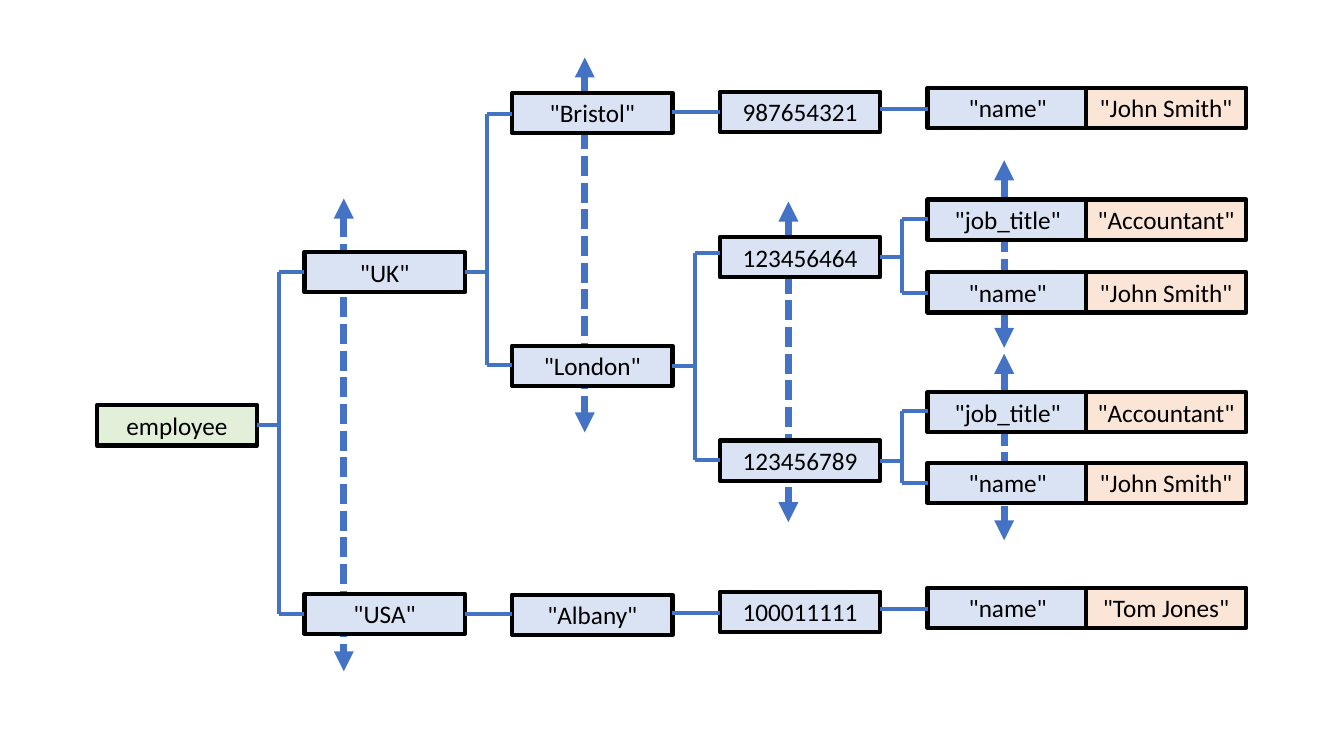
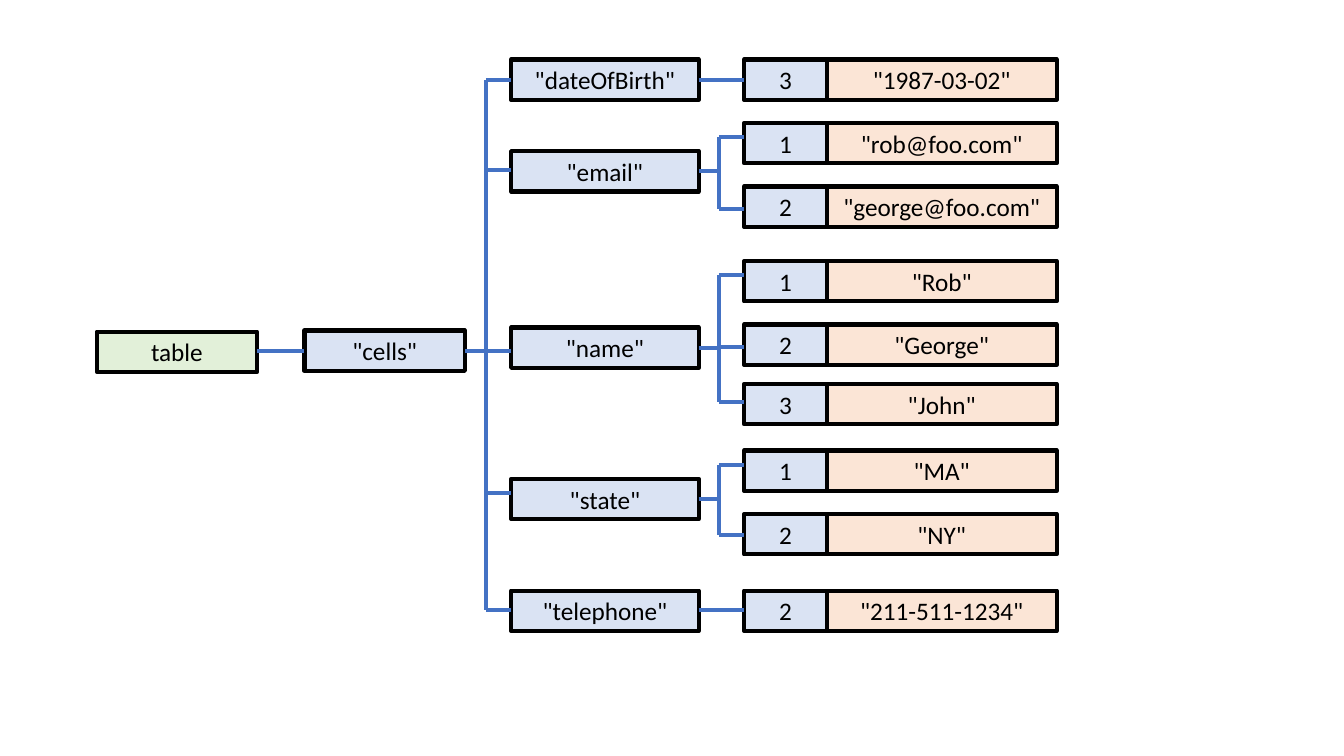
from pptx import Presentation
from pptx.dml.color import RGBColor
from pptx.enum.dml import MSO_LINE
from pptx.enum.shapes import MSO_CONNECTOR as CONNECTOR
from pptx.enum.text import MSO_ANCHOR, MSO_AUTO_SIZE, PP_ALIGN
from pptx.oxml.ns import qn
from pptx.util import Inches, Pt
from lxml.etree import SubElement

# Each node: label, top of its box, height of the line that reaches it,
# then either a list of child nodes or the value stored under the key.
EMPLOYEE = ("employee", 4.02, None, [
    ("\"UK\"", 2.5, 2.7, [
        ("\"Bristol\"", 0.92, 1.13, [
            ("987654321", 0.91, 1.11, [
                ("\"name\"", 0.87, 1.08, "\"John Smith\"")])]),
        ("\"London\"", 3.43, 3.62, [
            ("123456464", 2.35, 2.51, [
                ("\"job_title\"", 1.98, 2.17, "\"Accountant\""),
                ("\"name\"", 2.7, 2.91, "\"John Smith\"")]),
            ("123456789", 4.37, 4.56, [
                ("\"job_title\"", 3.89, 4.08, "\"Accountant\""),
                ("\"name\"", 4.59, 4.79, "\"John Smith\"")])])]),
    ("\"USA\"", 5.89, 6.09, [
        ("\"Albany\"", 5.9, 6.09, [
            ("100011111", 5.87, 6.08, [
                ("\"name\"", 5.83, 6.04, "\"Tom Jones\"")])])])])

TABLE = ("table", 3.29, None, [
    ("\"cells\"", 3.28, 3.48, [
        ("\"dateOfBirth\"", 0.59, 0.79, [
            ("3", 0.59, 0.79, "\"1987-03-02\"")]),
        ("\"email\"", 1.5, 1.69, [
            ("1", 1.22, 1.36, "\"rob@foo.com\""),
            ("2", 1.85, 2.07, "\"george@foo.com\"")]),
        ("\"name\"", 3.25, 3.48, [
            ("1", 2.59, 2.73, "\"Rob\""),
            ("2", 3.22, 3.44, "\"George\""),
            ("3", 3.81, 3.99, "\"John\"")]),
        ("\"state\"", 4.75, 4.89, [
            ("1", 4.47, 4.61, "\"MA\""),
            ("2", 5.1, 5.31, "\"NY\"")]),
        ("\"telephone\"", 5.86, 6.05, [
            ("2", 5.86, 6.05, "\"211-511-1234\"")])])])

# Columns are (left, width), one per tree level, the last for the values.
# Sort arrows are (x, top, bottom).
FIRST_LEFT, PITCH, KEY_WIDTH = 0.96, 2.06, 1.59
KEY_COLUMNS = [(FIRST_LEFT + PITCH * level, KEY_WIDTH) for level in range(5)]
TREES = [
    (EMPLOYEE, KEY_COLUMNS + [(10.77, KEY_WIDTH)],
     [(3.41, 1.97, 6.66), (5.8, 0.57, 4.29), (7.82, 2, 5.18),
      (9.96, 1.59, 3.45), (9.96, 3.51, 5.36)]),
    (TABLE, KEY_COLUMNS[:2] + [(5.07, 1.86), (7.38, 0.82), (8.2, 2.28)], []),
]

COLORS = {"root": "E2F0D9", "key": "DAE3F3", "value": "FBE5D6",
          "ink": "000000", "link": "4472C4"}
FONT, TEXT_SIZE = "Calibri", 18
BOX_HEIGHT, BORDER = 0.4, 3
SPINE_GAP = 0.25
LINK_WIDTH, ARROW_WIDTH = 3, 4.75


def color(name):
    return RGBColor.from_string(COLORS[name])


def add_box(slide, label, column, top, role):
    left, width = column
    box = slide.shapes.add_textbox(Inches(left), Inches(top),
                                   Inches(width), Inches(BOX_HEIGHT))
    box.fill.solid()
    box.fill.fore_color.rgb = color(role)
    box.line.color.rgb = color("ink")
    box.line.width = Pt(BORDER)
    frame = box.text_frame
    frame.word_wrap = True
    frame.auto_size = MSO_AUTO_SIZE.SHAPE_TO_FIT_TEXT
    frame.vertical_anchor = MSO_ANCHOR.MIDDLE
    paragraph = frame.paragraphs[0]
    paragraph.text = label
    paragraph.alignment = PP_ALIGN.CENTER
    paragraph.font.name = FONT
    paragraph.font.size = Pt(TEXT_SIZE)
    paragraph.font.color.rgb = color("ink")


def add_link(slide, x1, y1, x2, y2, width=LINK_WIDTH):
    link = slide.shapes.add_connector(CONNECTOR.STRAIGHT, Inches(x1), Inches(y1),
                                      Inches(x2), Inches(y2))
    link.line.color.rgb = color("link")
    link.line.width = Pt(width)
    SubElement(link._element.spPr, qn("a:effectLst"))
    return link


def add_sort_arrow(slide, x, top, bottom):
    arrow = add_link(slide, x, top, x, bottom, ARROW_WIDTH)
    arrow.line.dash_style = MSO_LINE.SQUARE_DOT
    outline = arrow._element.spPr.find(qn("a:ln"))
    for end in ("a:headEnd", "a:tailEnd"):
        SubElement(outline, qn(end), type="triangle")


def add_branches(slide, parent_top, children, columns, level):
    """Join a parent to its children by a stub, a spine and one arm each."""
    left, width = columns[level]
    right, child_left = left + width, columns[level + 1][0]
    arms = [arm for _, _, arm, _ in children]
    if len(arms) == 1:
        add_link(slide, right, arms[0], child_left, arms[0])
        return
    spine = child_left - SPINE_GAP
    middle = parent_top + BOX_HEIGHT / 2
    add_link(slide, right, middle, spine, middle)
    add_link(slide, spine, min(arms), spine, max(arms))
    for arm in arms:
        add_link(slide, spine, arm, child_left, arm)


def add_node(slide, node, columns, level=0):
    label, top, _, content = node
    add_box(slide, label, columns[level], top, "key" if level else "root")
    if isinstance(content, str):
        add_box(slide, content, columns[-1], top, "value")
        return
    for child in content:
        add_node(slide, child, columns, level + 1)
    add_branches(slide, top, content, columns, level)


deck = Presentation()
deck.slide_width, deck.slide_height = Inches(13.33), Inches(7.5)
blank_layout = deck.slide_layouts[6]

for root, columns, sort_arrows in TREES:
    slide = deck.slides.add_slide(blank_layout)
    # Sort arrows lie behind the boxes
    for x, top, bottom in sort_arrows:
        add_sort_arrow(slide, x, top, bottom)
    add_node(slide, root, columns)

deck.save("out.pptx")
